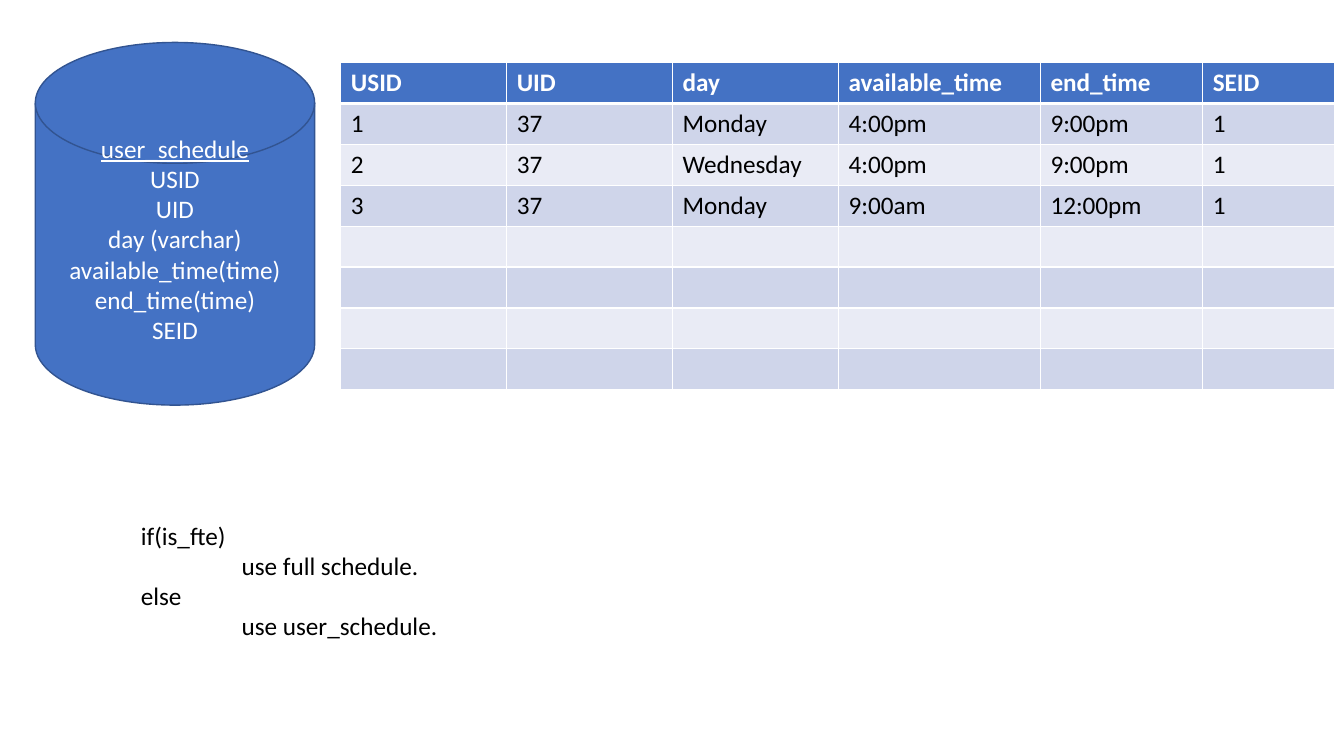
from dataclasses import dataclass
from typing import NamedTuple

from lxml.etree import SubElement
from pptx import Presentation
from pptx.dml.color import RGBColor
from pptx.enum.shapes import MSO_SHAPE as Preset
from pptx.enum.text import MSO_ANCHOR as Anchor, PP_ALIGN as Align
from pptx.oxml.ns import qn
from pptx.slide import Slide
from pptx.table import _Cell as Cell
from pptx.text.text import TextFrame
from pptx.util import Cm, Length, Pt


@dataclass(frozen=True)
class Theme:
    font: str = "Calibri"
    size: Length = Pt(18)
    blue: str = "4472C4"
    outline: str = "325491"
    white: str = "FFFFFF"
    black: str = "000000"
    bands: tuple[str, str] = ("CFD5EA", "E9EBF5")
    thin: Length = Pt(1)
    thick: Length = Pt(3)


class Line(NamedTuple):
    text: str
    underline: bool = False
    indent: Length = Cm(0)


class Column(NamedTuple):
    heading: str
    width: Length
    values: tuple[str, ...]


THEME = Theme()
STEP = Cm(2.54)
ROW_COUNT = 8
ROW_HEIGHT = Cm(1.03)

FIELDS = [
    Line("user_schedule", underline=True),
    Line("USID"),
    Line("UID"),
    Line("day (varchar)"),
    Line("available_time(time)"),
    Line("end_time(time)"),
    Line("SEID"),
]
COLUMNS = [
    Column("USID", Cm(4.18), ("1", "2", "3")),
    Column("UID", Cm(4.18), ("37", "37", "37")),
    Column("day", Cm(4.18), ("Monday", "Wednesday", "Monday")),
    Column("available_time", Cm(5.09), ("4:00pm", "4:00pm", "9:00am")),
    Column("end_time", Cm(4.09), ("9:00pm", "9:00pm", "12:00pm")),
    Column("SEID", Cm(3.33), ("1", "1", "1")),
]
RULE = [
    Line("if(is_fte)"),
    Line("use full schedule.", indent=STEP),
    Line("else"),
    Line("use user_schedule.", indent=STEP),
]


def write(frame: TextFrame, lines: list[Line], *, color: str,
          bold: bool = False, align: Align = Align.LEFT) -> None:
    """Fill a text frame with one paragraph per line."""
    for index, line in enumerate(lines):
        paragraph = frame.add_paragraph() if index else frame.paragraphs[0]
        paragraph.alignment = align
        if line.indent:
            paragraph._p.get_or_add_pPr().set("marL", str(line.indent))
        run = paragraph.add_run()
        run.text = line.text
        font = run.font
        font.name, font.size, font.bold = THEME.font, THEME.size, bold
        font.underline = line.underline
        font.color.rgb = RGBColor.from_string(color)


def style_cell(cell: Cell, fill: str, bottom: Length) -> None:
    """Give a cell white borders and a plain fill."""
    properties = cell._tc.get_or_add_tcPr()
    widths = {"a:lnL": THEME.thin, "a:lnR": THEME.thin,
              "a:lnT": THEME.thin, "a:lnB": bottom}
    for tag, width in widths.items():
        border = SubElement(properties, qn(tag), w=str(width))
        solid = SubElement(border, qn("a:solidFill"))
        SubElement(solid, qn("a:srgbClr"), val=THEME.white)
    cell.fill.solid()
    cell.fill.fore_color.rgb = RGBColor.from_string(fill)


def add_database(slide: Slide) -> None:
    shape = slide.shapes.add_shape(
        Preset.FLOWCHART_MAGNETIC_DISK, Cm(0.89), Cm(1.07), Cm(7.04), Cm(9.14))
    shape.shadow.inherit = False
    shape.fill.solid()
    shape.fill.fore_color.rgb = RGBColor.from_string(THEME.blue)
    shape.line.color.rgb = RGBColor.from_string(THEME.outline)
    shape.line.width = THEME.thin
    frame = shape.text_frame
    frame.word_wrap = True
    frame.vertical_anchor = Anchor.MIDDLE
    frame.margin_bottom = Cm(0.89)
    write(frame, FIELDS, color=THEME.white, align=Align.CENTER)


def add_schedule(slide: Slide) -> None:
    width = sum(column.width for column in COLUMNS)
    table = slide.shapes.add_table(
        ROW_COUNT, len(COLUMNS), Cm(8.59), Cm(1.58),
        width, ROW_HEIGHT * ROW_COUNT).table
    for row in table.rows:
        row.height = ROW_HEIGHT
    for x, column in enumerate(COLUMNS):
        table.columns[x].width = column.width
        heading = table.cell(0, x)
        style_cell(heading, THEME.blue, THEME.thick)
        write(heading.text_frame, [Line(column.heading)],
              color=THEME.white, bold=True)
        for y in range(1, ROW_COUNT):
            cell = table.cell(y, x)
            style_cell(cell, THEME.bands[(y - 1) % 2], THEME.thin)
            if y <= len(column.values):
                write(cell.text_frame, [Line(column.values[y - 1])],
                      color=THEME.black)


def add_rule(slide: Slide) -> None:
    box = slide.shapes.add_textbox(Cm(3.3), Cm(12.98), Cm(11.58), Cm(3.33))
    box.text_frame.word_wrap = True
    write(box.text_frame, RULE, color=THEME.black)


# Slide
presentation = Presentation()
presentation.slide_width = Cm(33.87)
presentation.slide_height = Cm(19.05)
slide = presentation.slides.add_slide(presentation.slide_layouts[6])

# Database fields, sample rows and the rule for choosing a schedule
add_database(slide)
add_schedule(slide)
add_rule(slide)

presentation.save("out.pptx")
